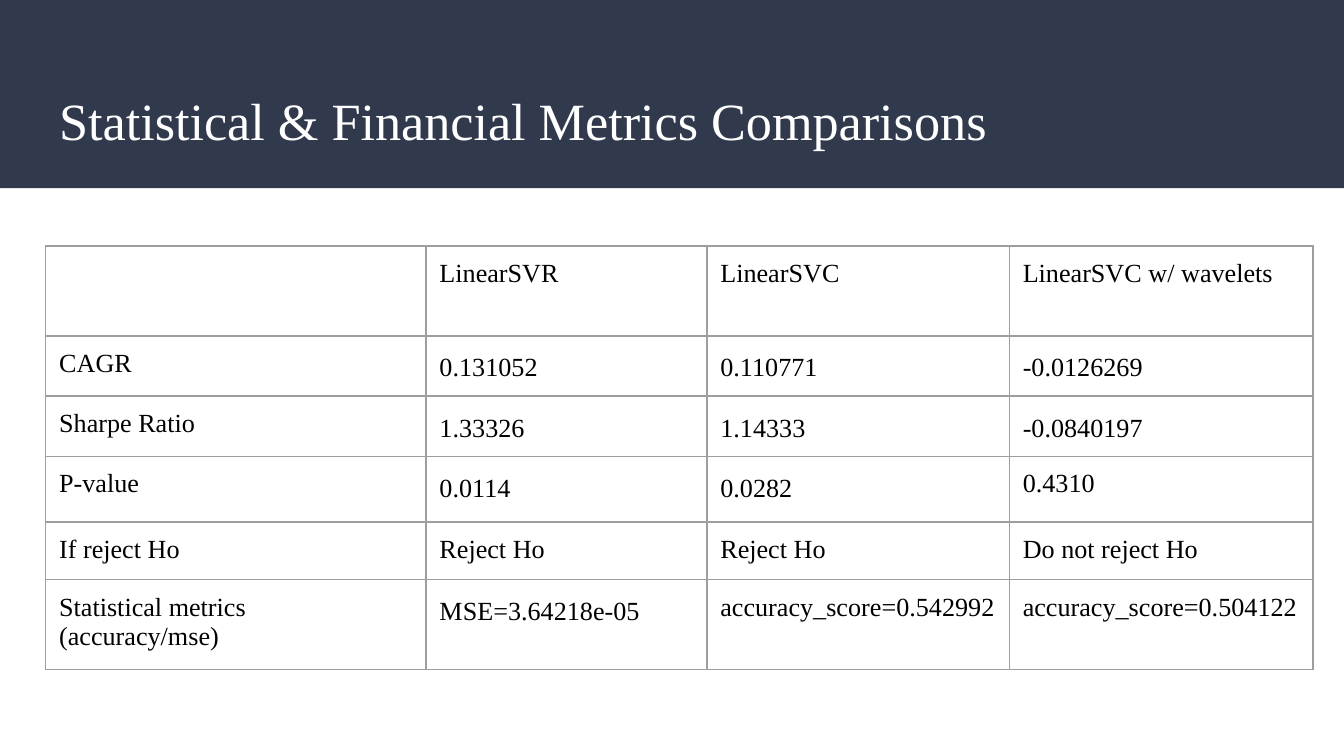
from pptx import Presentation
from pptx import util as u
from pptx.dml.color import RGBColor
from pptx.enum import shapes, text
from pptx.oxml import parse_xml
from pptx.oxml.ns import nsdecls

SLIDE_WIDTH = 10
SLIDE_HEIGHT = SLIDE_WIDTH * 9 / 16
ROWS = [
    ["", "LinearSVR", "LinearSVC", "LinearSVC w/ wavelets"],
    ["CAGR", "0.131052", "0.110771", "-0.0126269"],
    ["Sharpe Ratio", "1.33326", "1.14333", "-0.0840197"],
    ["P-value", "0.0114", "0.0282", "0.4310"],
    ["If reject Ho", "Reject Ho", "Reject Ho", "Do not reject Ho"],
    ["Statistical metrics (accuracy/mse)", "MSE=3.64218e-05",
     "accuracy_score=0.542992", "accuracy_score=0.504122"],
]
COLUMN_WIDTHS = [2.83, 2.09, 2.25, 2.26]
ROW_HEIGHTS = [0.67, 0.43, 0.43, 0.49, 0.43, 0.67]
# Columns with wider line spacing, by row
LOOSE_COLUMNS = {1: (1, 2, 3), 2: (1, 2, 3), 3: (1, 2), 5: (1,)}


def color(value):
    return RGBColor.from_string(value)


class SlideBuilder:
    """Holds the style and the current slide."""
    font = "Times New Roman"
    navy, white, black, gray = "31394D", "FFFFFF", "000000", "9E9E9E"
    inset = 0.1

    def __init__(self, slide):
        self.slide = slide

    def format_text(self, paragraph, size, font_color):
        paragraph.alignment = text.PP_ALIGN.LEFT
        for run in paragraph.runs:
            run.font.name = self.font
            run.font.size = u.Pt(size)
            run.font.color.rgb = color(font_color)

    def band(self, width, height):
        """Adds the header band behind everything else."""
        shape = self.slide.shapes.add_shape(
            shapes.MSO_SHAPE.RECTANGLE, 0, 0, u.Inches(width), u.Inches(height))
        shape.shadow.inherit = False
        shape.fill.solid()
        shape.fill.fore_color.rgb = color(self.navy)
        shape.line.fill.background()
        self.slide.shapes._spTree.insert(2, shape._element)

    def title(self, wording, left, top, width, height):
        shape = self.slide.shapes.title
        shape.left, shape.top = u.Inches(left), u.Inches(top)
        shape.width, shape.height = u.Inches(width), u.Inches(height)
        frame = shape.text_frame
        frame.text = wording
        frame.word_wrap = True
        frame.auto_size = text.MSO_AUTO_SIZE.NONE
        frame.vertical_anchor = text.MSO_ANCHOR.MIDDLE
        self.set_insets(frame)
        self.format_text(frame.paragraphs[0], 28, self.white)

    def set_insets(self, target):
        target.margin_left = target.margin_right = u.Inches(self.inset)
        target.margin_top = target.margin_bottom = u.Inches(self.inset)

    def cell_borders(self, cell):
        properties = cell._tc.get_or_add_tcPr()
        for index, side in enumerate(("lnL", "lnR", "lnT", "lnB")):
            properties.insert(index, parse_xml(
                f'<a:{side} {nsdecls("a")} w="{u.Pt(0.75)}"><a:solidFill>'
                f'<a:srgbClr val="{self.gray}"/></a:solidFill></a:{side}>'))

    def table(self, left, top):
        frame = self.slide.shapes.add_table(
            len(ROWS), len(COLUMN_WIDTHS), u.Inches(left), u.Inches(top),
            u.Inches(sum(COLUMN_WIDTHS)), u.Inches(sum(ROW_HEIGHTS)))
        table = frame.table
        table.first_row = table.horz_banding = False
        for column, width in zip(table.columns, COLUMN_WIDTHS):
            column.width = u.Inches(width)
        for row, height in zip(table.rows, ROW_HEIGHTS):
            row.height = u.Inches(height)
        for row_index, values in enumerate(ROWS):
            for column_index, value in enumerate(values):
                cell = table.cell(row_index, column_index)
                cell.fill.background()
                self.set_insets(cell)
                if column_index == 0:
                    cell.margin_right = u.Inches(2 * self.inset)
                self.cell_borders(cell)
                cell.text_frame.text = value
                paragraph = cell.text_frame.paragraphs[0]
                self.format_text(paragraph, 14, self.black)
                if column_index in LOOSE_COLUMNS.get(row_index, ()):
                    paragraph.line_spacing = 1.15


def main():
    presentation = Presentation()
    presentation.slide_width = u.Inches(SLIDE_WIDTH)
    presentation.slide_height = u.Inches(SLIDE_HEIGHT)
    builder = SlideBuilder(
        presentation.slides.add_slide(presentation.slide_layouts[5]))
    builder.band(SLIDE_WIDTH, 1.4)
    builder.title("Statistical & Financial Metrics Comparisons",
                  0.34, 0.55, 9.32, 0.68)
    builder.table(0.34, 1.83)
    presentation.save("out.pptx")


if __name__ == "__main__":
    main()
